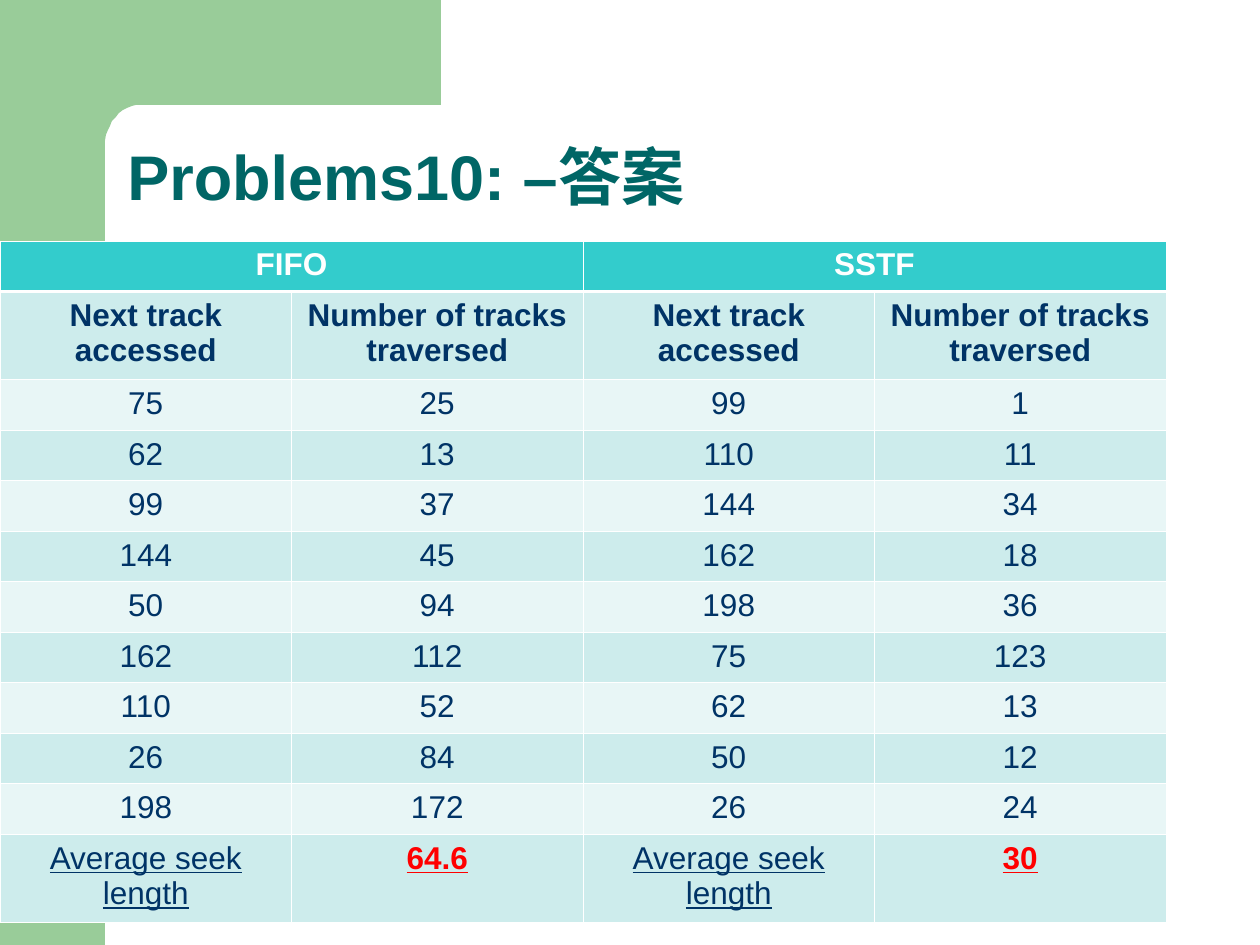
from math import cos, pi, sin

from lxml import etree
from pptx import Presentation
from pptx.dml.color import RGBColor
from pptx.enum.shapes import MSO_SHAPE
from pptx.enum.text import MSO_ANCHOR, PP_ALIGN
from pptx.oxml.ns import qn
from pptx.util import Pt

RECT = MSO_SHAPE.RECTANGLE
BOTTOM = MSO_ANCHOR.BOTTOM
CENTER = PP_ALIGN.CENTER

PX = 914400 / 126
COLORS = {
    "green": "99CC99", "title": "006666", "header": "33CCCC",
    "band": "CDECEC", "light": "E8F6F6", "text": "003366",
    "answer": "FF0000", "white": "FFFFFF",
}


def px(*lengths):
    return [round(n * PX) for n in lengths]


def add_text(p, text, color, **formats):
    r = p.add_run()
    r.text = text
    r.font.color.rgb = RGBColor.from_string(COLORS[color])
    for name, value in {"name": "Arial", **formats}.items():
        setattr(r.font, name, value)


prs = Presentation()
prs.slide_width, prs.slide_height = px(1260, 945)
s = prs.slides.add_slide(prs.slide_layouts[6])

# Green side bar and corner with a rounded inner edge
side_bar = s.shapes.add_shape(RECT, *px(0, 0, 105, 945))
arc = [(141 - 36 * sin(a), 146 - 41 * cos(a))
       for a in (i * pi / 24 for i in range(13))]
outline = [(441, 0), (441, 105), *arc, (105, 161), (63, 161), (63, 0)]
builder = s.shapes.build_freeform(*outline[0], scale=PX)
builder.add_line_segments(outline[1:], close=True)
corner = builder.convert_to_shape()
for sp in (side_bar, corner):
    sp.shadow.inherit = False
    sp.fill.solid()
    sp.fill.fore_color.rgb = RGBColor.from_string(COLORS["green"])
    sp.line.fill.background()

# Title
tf = s.shapes.add_textbox(*px(115, 83, 1072, 137)).text_frame
tf.word_wrap = True
tf.vertical_anchor = BOTTOM
p = tf.paragraphs[0]
p.line_spacing = 0.9
add_text(p, "Problems10: –答案", "title", size=Pt(36), bold=True)

# Seek table: FIFO on the left, SSTF on the right
rows = [
    ["FIFO", "", "SSTF", ""],
    ["Next track accessed", "Number of tracks traversed"] * 2,
    [75, 25, 99, 1],
    [62, 13, 110, 11],
    [99, 37, 144, 34],
    [144, 45, 162, 18],
    [50, 94, 198, 36],
    [162, 112, 75, 123],
    [110, 52, 62, 13],
    [26, 84, 50, 12],
    [198, 172, 26, 24],
    ["Average seek length", "64.6", "Average seek length", "30"],
]
last = len(rows) - 1
width, height, tall = px(1166, 681, 88)
left, top = px(0, 241)
table = s.shapes.add_table(len(rows), 4, left, top, width, height).table
table.horz_banding = False
for col in table.columns:
    col.width = width // 4
for i, row in enumerate(table.rows):
    row.height = tall if i in (1, last) else (height - 2 * tall) // (len(rows) - 2)
for c in (0, 2):
    table.cell(0, c).merge(table.cell(0, c + 1))

for i, row in enumerate(rows):
    fill = "header" if i == 0 else "band" if i % 2 else "light"
    for c, value in enumerate(row):
        cell = table.cell(i, c)
        # White borders, heavier below the header
        tcPr = cell._tc.get_or_add_tcPr()
        for side in "LRTB":
            heavy = (i, side) in ((0, "B"), (1, "T"))
            ln = etree.SubElement(tcPr, qn(f"a:ln{side}"), w=str(Pt(1.47 if heavy else 0.45)))
            solid = etree.SubElement(ln, qn("a:solidFill"))
            etree.SubElement(solid, qn("a:srgbClr"), val=COLORS["white"])
        cell.fill.solid()
        cell.fill.fore_color.rgb = RGBColor.from_string(COLORS[fill])
        if value == "":
            continue
        p = cell.text_frame.paragraphs[0]
        p.alignment = CENTER
        answer = i == last and c % 2 == 1
        color = "white" if i == 0 else "answer" if answer else "text"
        add_text(p, str(value), color, size=Pt(18),
                 bold=i < 2 or answer, underline=i == last)

prs.save("out.pptx")
